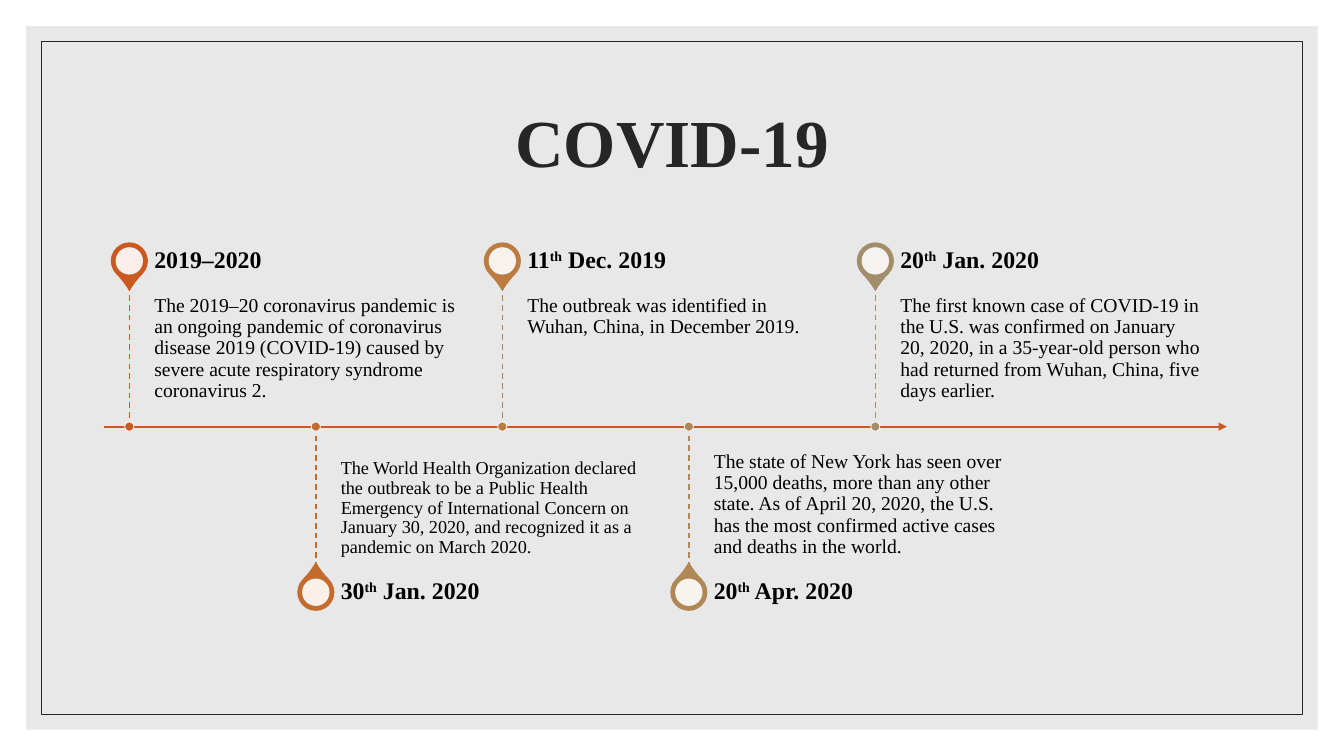
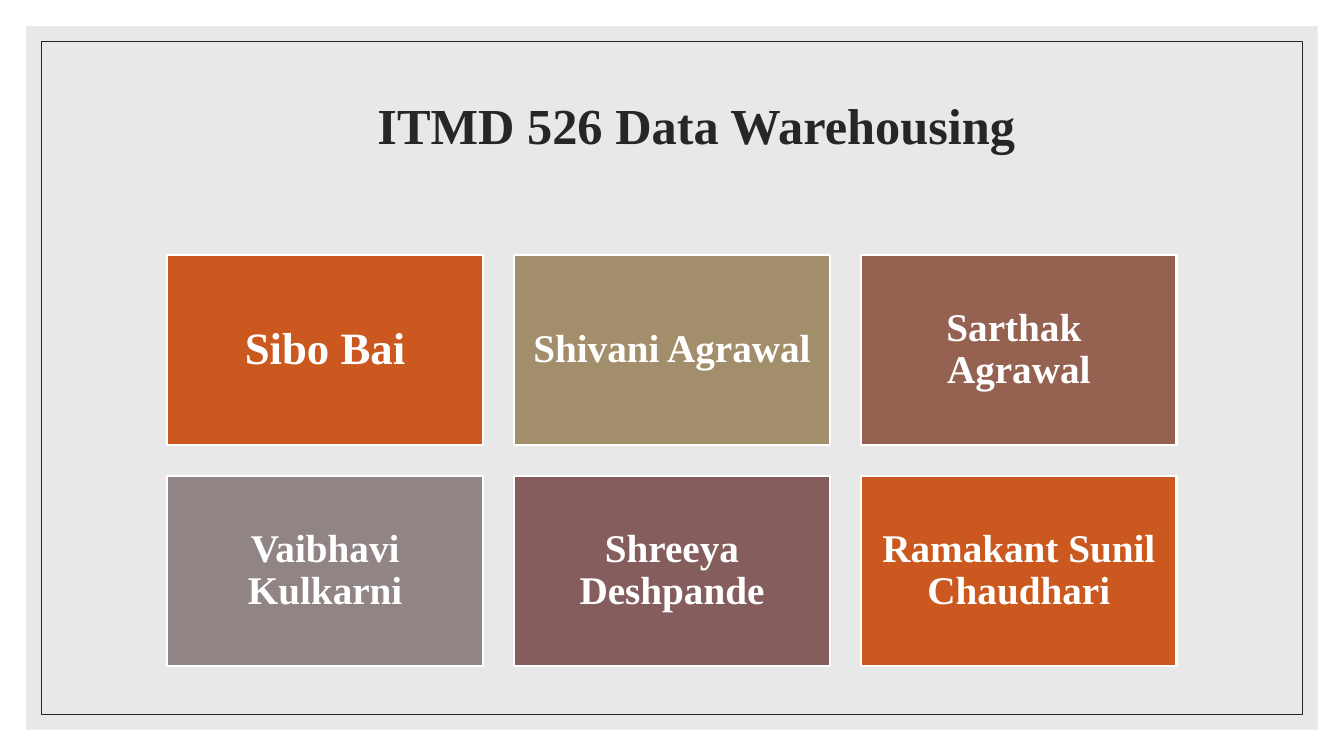
from lxml.etree import SubElement
from pptx import Presentation
from pptx.dml.color import RGBColor
from pptx.enum.dml import MSO_LINE
from pptx.enum.shapes import MSO_CONNECTOR, MSO_SHAPE
from pptx.enum.text import MSO_ANCHOR, PP_ALIGN
from pptx.oxml.ns import qn
from pptx.util import Cm, Pt

WIDE, HIGH = 33.87, 19.05
FONT = "Times New Roman"
WHITE = RGBColor(0xFF, 0xFF, 0xFF)
BLACK = RGBColor(0, 0, 0)
INK = RGBColor(0x26, 0x26, 0x26)
GREY = RGBColor(0xD9, 0xD9, 0xD9)
RUST = RGBColor(0xCB, 0x58, 0x1F)
AMBER = RGBColor(0xC3, 0x6C, 0x2F)
OCHRE = RGBColor(0xBA, 0x7C, 0x41)
TAN = RGBColor(0xAF, 0x88, 0x55)
SAND = RGBColor(0xA2, 0x8E, 0x6A)
BROWN = RGBColor(0x95, 0x62, 0x51)
STONE = RGBColor(0x91, 0x84, 0x85)
PLUM = RGBColor(0x85, 0x5D, 0x5D)

EVENTS = [
    (RUST, ["2019–2020"], 14,
     "The 2019–20 coronavirus pandemic is an ongoing pandemic of coronavirus "
     "disease 2019 (COVID-19) caused by severe acute respiratory syndrome "
     "coronavirus 2."),
    (AMBER, ["30", "th", " Jan. 2020"], 13,
     "The World Health Organization declared the outbreak to be a "
     "Public Health Emergency of International Concern on January 30, 2020, "
     "and recognized it as a pandemic on March 2020."),
    (OCHRE, ["11", "th", " Dec. 2019"], 14,
     "The outbreak was identified in Wuhan, China, in December 2019."),
    (TAN, ["20", "th", " Apr. 2020"], 14,
     "The state of New York has seen over 15,000 deaths, more than any other "
     "state. As of April 20, 2020, the U.S. has the most confirmed active "
     "cases and deaths in the world."),
    (SAND, ["20", "th", " Jan. 2020"], 14,
     "The first known case of COVID-19 in the U.S. was confirmed on January "
     "20, 2020, in a 35-year-old person who had returned from Wuhan, China, "
     "five days earlier."),
]
TEAM = [
    ("Sibo Bai", 32, RUST),
    ("Shivani Agrawal", 28, SAND),
    ("Sarthak  Agrawal", 28, BROWN),
    ("Vaibhavi Kulkarni", 28, STONE),
    ("Shreeya Deshpande", 28, PLUM),
    ("Ramakant Sunil Chaudhari", 28, RUST),
]


def shape(slide, kind, box, fill=None, line=None, width=1, alpha=100):
    """Add a preset shape with an optional fill and outline."""
    item = slide.shapes.add_shape(kind, *map(Cm, box))
    item.shadow.inherit = False
    if fill is None:
        item.fill.background()
    else:
        item.fill.solid()
        item.fill.fore_color.rgb = fill
        if alpha < 100:
            tone = item.fill._xPr.find(qn("a:solidFill"))[0]
            SubElement(tone, qn("a:alpha"), val=str(alpha * 1000))
    if line is None:
        item.line.fill.background()
    else:
        item.line.color.rgb = line
        item.line.width = Pt(width)
    return item


def disc(slide, x, y, size, **style):
    """Add a circle centred on a point."""
    box = x - size / 2, y - size / 2, size, size
    return shape(slide, MSO_SHAPE.OVAL, box, **style)


def rule(slide, start, end, color, width):
    """Add a straight line without shadow."""
    line = slide.shapes.add_connector(
        MSO_CONNECTOR.STRAIGHT, *map(Cm, start + end))
    line.line.color.rgb = color
    line.line.width = Pt(width)
    SubElement(line._element.spPr, qn("a:effectLst"))
    return line


def write(item, runs, size, color, bold=False, align=PP_ALIGN.LEFT,
          anchor=MSO_ANCHOR.MIDDLE, inset=(0, 0, 0, 0)):
    """Fill a shape with one paragraph; every second run is raised."""
    frame = item.text_frame
    frame.word_wrap = True
    frame.vertical_anchor = anchor
    (frame.margin_left, frame.margin_top,
     frame.margin_right, frame.margin_bottom) = map(Cm, inset)
    para = frame.paragraphs[0]
    para.alignment = align
    para.line_spacing = 0.9
    for i, text in enumerate(runs):
        run = para.add_run()
        run.text = text
        run.font.name = FONT
        run.font.size = Pt(size)
        run.font.bold = bold
        run.font.color.rgb = color
        if i % 2:
            run._r.get_or_add_rPr().set("baseline", "30000")


def label(slide, box, *args, **style):
    """Add a text box."""
    write(slide.shapes.add_textbox(*map(Cm, box)), *args, **style)


def page(deck, title, size, box):
    """Add a slide with the framed panel and its title."""
    slide = deck.slides.add_slide(deck.slide_layouts[6])
    for edge, style in ((0.66, dict(fill=GREY, alpha=60)),
                        (1.04, dict(line=INK, width=0.5))):
        area = edge, edge, WIDE - 2 * edge, HIGH - 2 * edge
        shape(slide, MSO_SHAPE.RECTANGLE, area, **style)
    label(slide, box, [title], size, INK, bold=True, align=PP_ALIGN.CENTER)
    return slide


def event(slide, box, above, color, head, size, body):
    """Draw one pin, stem and text, above or below the axis."""
    x, axis, wide, stem = box
    bar = 1.25
    side = -1 if above else 1
    tip = axis + side * stem
    mid = tip + side * bar / 2
    pin = shape(slide, MSO_SHAPE.TEAR, (x - 0.45, mid - 0.45, 0.9, 0.9),
                fill=color, line=color)
    pin.adjustments[0] = 1.15
    pin.rotation = 135 if above else 315
    disc(slide, x, mid, 0.69, fill=WHITE, alpha=90)
    left = x + 0.63
    label(slide, (left, min(axis, tip), wide, stem), [body], size, BLACK,
          anchor=MSO_ANCHOR.TOP if above else MSO_ANCHOR.BOTTOM,
          inset=(0, 0.25, 0.25, 0.38) if above else (0, 0.38, 0, 0.25))
    label(slide, (left, mid - bar / 2, wide, bar), head, 17, BLACK,
          bold=True, inset=(0, 0, 0.3, 0))
    line = rule(slide, (x, tip), (x, axis), color, 1)
    line.line.dash_style = MSO_LINE.DASH
    disc(slide, x, axis, 0.23, fill=color, line=WHITE, width=0.5)


def course(slide, box):
    """Draw the time axis with its events on alternating sides."""
    left, axis, wide, stem = box
    arrow = rule(slide, (left, axis), (left + wide, axis), RUST, 1.5)
    SubElement(arrow.line._get_or_add_ln(), qn("a:tailEnd"), type="triangle")
    for i, data in enumerate(EVENTS):
        spot = left + 0.64 + 4.7 * i, axis, 7.85, stem
        event(slide, spot, i % 2 == 0, *data)


def tiles(slide, box, cols=3, gap=0.79):
    """Lay the team names out as a grid of coloured tiles."""
    left, top, wide, high = box
    rows = len(TEAM) // cols
    w = (wide - gap * (cols - 1)) / cols
    h = (high - gap * (rows - 1)) / rows
    for i, (name, size, color) in enumerate(TEAM):
        row, col = divmod(i, cols)
        spot = left + col * (w + gap), top + row * (h + gap), w, h
        tile = shape(slide, MSO_SHAPE.RECTANGLE, spot, color, WHITE, 1.5)
        write(tile, [name], size, WHITE, bold=True,
              align=PP_ALIGN.CENTER, inset=(0.3,) * 4)


def main():
    """Build both slides and save the deck."""
    deck = Presentation()
    deck.slide_width, deck.slide_height = Cm(WIDE), Cm(HIGH)
    slide = page(deck, "COVID-19", 48, (2.97, 1.78, 27.94, 3.81))
    course(slide, (2.62, 10.75, 28.3, 3.55))
    slide = page(deck, "ITMD 526 Data Warehousing", 36,
                 (3.58, 1.78, 27.94, 2.9))
    tiles(slide, (4.22, 6.43, 25.43, 10.35))
    deck.save("out.pptx")


if __name__ == "__main__":
    main()
